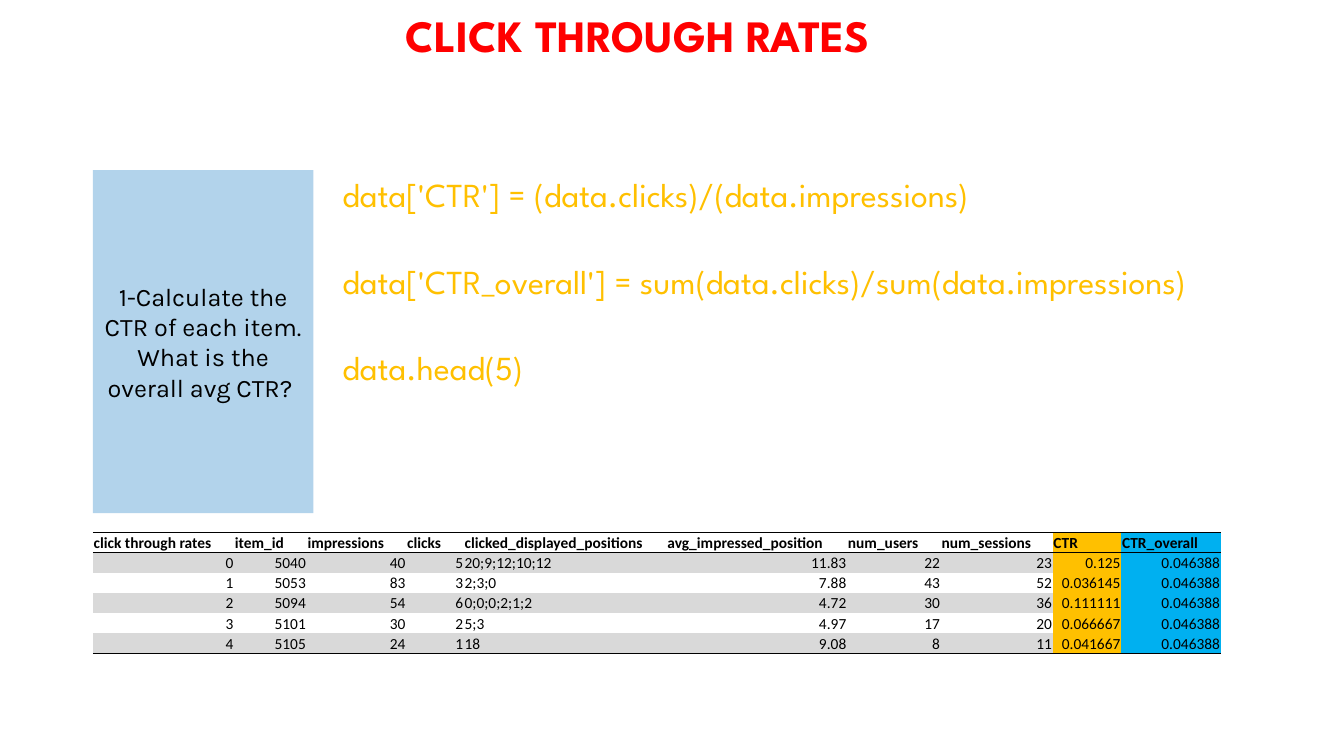
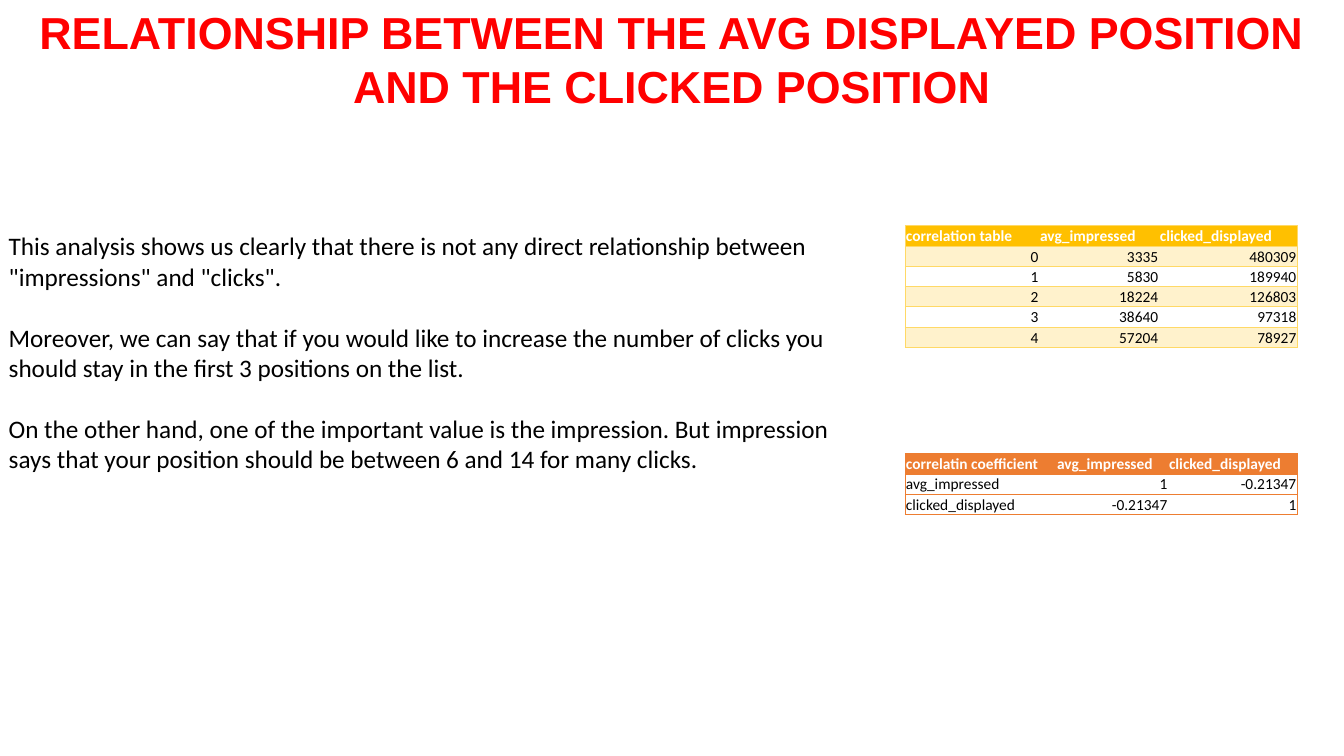
from dataclasses import dataclass, field

from lxml.etree import SubElement
from pptx import Presentation
from pptx.dml.color import RGBColor
from pptx.enum.shapes import MSO_SHAPE
from pptx.enum.text import MSO_ANCHOR, PP_ALIGN
from pptx.oxml.ns import qn
from pptx.util import Cm, Pt

BLACK = RGBColor(0x00, 0x00, 0x00)
WHITE = RGBColor(0xFF, 0xFF, 0xFF)
RED = RGBColor(0xFF, 0x00, 0x00)
GOLD = RGBColor(0xFF, 0xC0, 0x00)
SAND = RGBColor(0xFF, 0xD9, 0x66)
CREAM = RGBColor(0xFF, 0xF2, 0xCC)
RUST = RGBColor(0xED, 0x7D, 0x31)
GREY = RGBColor(0xD9, 0xD9, 0xD9)
SKY = RGBColor(0x00, 0xB0, 0xF0)
BLUE = RGBColor(0x00, 0x70, 0xC0)

SPARTAN, KARLA, ARIAL, CALIBRI = "League Spartan", "Karla", "Arial", "Calibri"
ROW = 0.51
LEFT = 2.34
SIDE = 22.81

RATES = [
    ["click through rates", "item_id", "impressions", "clicks",
     "clicked_displayed_positions", "avg_impressed_position",
     "num_users", "num_sessions", "CTR", "CTR_overall"],
    ["0", "5040", "40", "5", "20;9;12;10;12", "11.83", "22", "23", "0.125", "0.046388"],
    ["1", "5053", "83", "3", "2;3;0", "7.88", "43", "52", "0.036145", "0.046388"],
    ["2", "5094", "54", "6", "0;0;0;2;1;2", "4.72", "30", "36", "0.111111", "0.046388"],
    ["3", "5101", "30", "2", "5;3", "4.97", "17", "20", "0.066667", "0.046388"],
    ["4", "5105", "24", "1", "18", "9.08", "8", "11", "0.041667", "0.046388"],
]
COUNTS = [
    ["correlation table", "avg_impressed", "clicked_displayed"],
    ["0", "3335", "480309"],
    ["1", "5830", "189940"],
    ["2", "18224", "126803"],
    ["3", "38640", "97318"],
    ["4", "57204", "78927"],
]
COEFFS = [
    ["correlatin coefficient", "avg_impressed", "clicked_displayed"],
    ["avg_impressed", "1", "-0.21347"],
    ["clicked_displayed", "-0.21347", "1"],
]
CODE = [
    "data['CTR'] = (data.clicks)/(data.impressions)",
    "data['CTR_overall'] = sum(data.clicks)/sum(data.impressions)",
    "data.head(5)",
]
NOTES = [
    'This analysis shows us clearly that there is not any direct relationship between "impressions" and "clicks".',
    "Moreover, we can say that if you would like to increase the number of clicks you should stay in the first 3 positions on the list.",
    "On the other hand, one of the important value is the impression. But impression says that your position should be between 6 and 14 for many clicks.",
]


@dataclass
class Look:
    """Colours of a table; words holds the columns that align left."""
    line: RGBColor
    head: RGBColor | None = None
    ink: RGBColor = BLACK
    band: RGBColor | None = None
    grid: bool = True
    words: tuple = ()
    tints: dict = field(default_factory=dict)

    def fill(self, row, col):
        if col in self.tints:
            return self.tints[col]
        if row == 0:
            return self.head
        return self.band if row % 2 else None

    def edges(self, row, col, rows, cols):
        """Return the sides of a cell that carry a line."""
        if self.grid:
            return "TB" + "L" * (col == 0) + "R" * (col == cols - 1)
        return "T" * (row < 2) + "B" * (row in (0, rows - 1))


def write(para, text, font, size, ink, bold=False, align=PP_ALIGN.LEFT):
    para.alignment = align
    run = para.add_run()
    run.text = text
    run.font.name = font
    run.font.size = Pt(size)
    run.font.bold = bold
    run.font.color.rgb = ink


def add_text(slide, box, lines, font, size, ink, gap=0, **style):
    frame = slide.shapes.add_textbox(*map(Cm, box)).text_frame
    frame.word_wrap = True
    for i, line in enumerate(lines):
        para = frame.add_paragraph() if i else frame.paragraphs[0]
        para.space_after = Pt(gap)
        write(para, line, font, size, ink, **style)


def add_title(slide, box, text, font, align=PP_ALIGN.LEFT):
    add_text(slide, box, [text], font, 32, RED, bold=True, align=align)


def add_panel(slide, box, text):
    panel = slide.shapes.add_shape(MSO_SHAPE.RECTANGLE, *map(Cm, box))
    panel.shadow.inherit = False
    panel.line.fill.background()
    panel.fill.solid()
    panel.fill.fore_color.rgb = BLUE
    tint = panel.fill._xPr.find(".//" + qn("a:srgbClr"))
    SubElement(tint, qn("a:alpha"), val="30000")
    frame = panel.text_frame
    frame.word_wrap = True
    frame.vertical_anchor = MSO_ANCHOR.MIDDLE
    write(frame.paragraphs[0], text, KARLA, 18, BLACK, align=PP_ALIGN.CENTER)


def draw_edges(cell, sides, ink):
    props = cell._tc.get_or_add_tcPr()
    for side in "LRTB":
        line = SubElement(props, qn("a:ln" + side), w=str(Pt(0.5)))
        if side in sides:
            fill = SubElement(line, qn("a:solidFill"))
            SubElement(fill, qn("a:srgbClr"), val=str(ink))
        else:
            SubElement(line, qn("a:noFill"))


def paint(cell, ink):
    if ink is None:
        cell.fill.background()
    else:
        cell.fill.solid()
        cell.fill.fore_color.rgb = ink


def add_grid(slide, left, top, widths, data, look):
    rows, cols = len(data), len(widths)
    table = slide.shapes.add_table(
        rows, cols, Cm(left), Cm(top), Cm(sum(widths)), Cm(ROW * rows)).table
    table.first_row = table.horz_banding = False
    for col, width in zip(table.columns, widths):
        col.width = Cm(width)
    for r, texts in enumerate(data):
        table.rows[r].height = Cm(ROW)
        for c, text in enumerate(texts):
            cell = table.cell(r, c)
            cell.margin_left = cell.margin_right = cell.margin_top = Cm(0.02)
            cell.margin_bottom = 0
            cell.vertical_anchor = MSO_ANCHOR.BOTTOM
            draw_edges(cell, look.edges(r, c, rows, cols), look.line)
            paint(cell, look.fill(r, c))
            head = r == 0
            plain = head or c in look.words
            write(cell.text_frame.paragraphs[0], text, CALIBRI, 11,
                  look.ink if head else BLACK, bold=head,
                  align=PP_ALIGN.LEFT if plain else PP_ALIGN.RIGHT)


def rates_slide(slide):
    for i, line in enumerate(CODE):
        add_text(slide, (8.38, 4.27 + 2.17 * i, 25.48, 1.27), [line], SPARTAN, 24, GOLD)
    add_grid(slide, LEFT, 13.41,
             [3.56, 1.83, 2.51, 1.45, 5.11, 4.55, 2.36, 2.82, 1.73, 2.51], RATES,
             Look(BLACK, band=GREY, grid=False, words=(4,), tints={8: GOLD, 9: SKY}))
    add_panel(slide, (LEFT, 4.29, 5.56, 8.64),
              "1-Calculate the CTR of each item. What is the overall avg CTR? ")
    add_title(slide, (9.98, 0.08, 13.11, 1.63), "CLICK THROUGH RATES", SPARTAN)


def position_slide(slide):
    add_title(slide, (0, 0, 33.87, 3),
              "RELATIONSHIP BETWEEN THE AVG DISPLAYED POSITION AND THE CLICKED POSITION",
              ARIAL, PP_ALIGN.CENTER)
    add_grid(slide, SIDE, 11.43, [3.81, 2.82, 3.25], COEFFS,
             Look(RUST, RUST, WHITE, words=(0,)))
    add_grid(slide, SIDE, 5.69, [3.38, 3.02, 3.48], COUNTS,
             Look(SAND, GOLD, WHITE, CREAM))
    add_text(slide, (-0.03, 5.69, 22.1, 7.19), NOTES, CALIBRI, 18, BLACK, gap=22)


def main():
    deck = Presentation()
    deck.slide_width, deck.slide_height = Cm(33.87), Cm(19.05)
    for build in (rates_slide, position_slide):
        build(deck.slides.add_slide(deck.slide_layouts[6]))
    deck.save("out.pptx")


if __name__ == "__main__":
    main()
